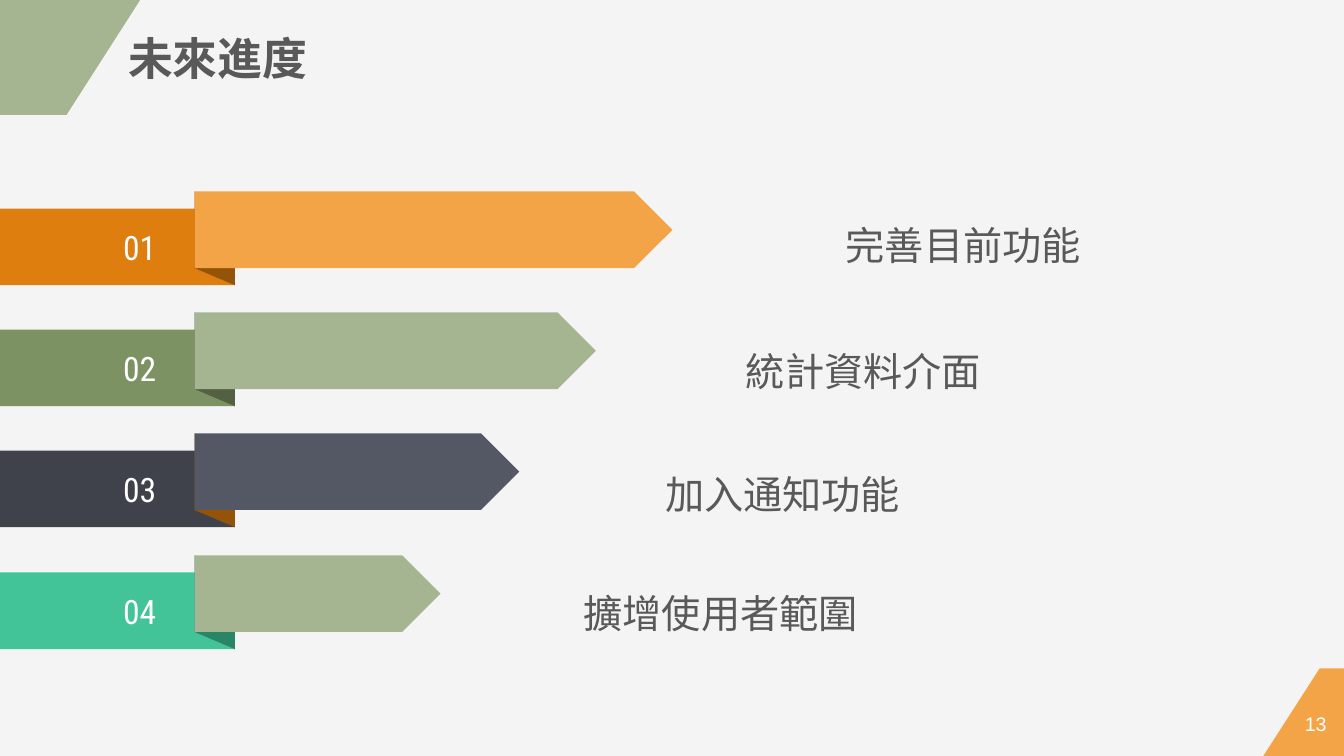
from dataclasses import dataclass

from lxml.etree import SubElement
from pptx import Presentation
from pptx.dml.color import RGBColor
from pptx.enum.shapes import MSO_SHAPE
from pptx.enum.text import MSO_ANCHOR, MSO_AUTO_SIZE, PP_ALIGN
from pptx.oxml.ns import qn
from pptx.shapes.autoshape import Shape
from pptx.slide import Slide
from pptx.util import Emu, Pt

PX = 9144
WIDE, HIGH = 1333, 750
BAR = 76
FOLD_X, BAND_W = 193, 233
DROP = 17

PAPER = RGBColor(0xF4, 0xF4, 0xF4)
WHITE = RGBColor(0xFF, 0xFF, 0xFF)
GRAY = RGBColor(0x59, 0x59, 0x59)
ORANGE = RGBColor(0xF3, 0xA4, 0x47)
AMBER = RGBColor(0xDD, 0x7E, 0x0E)
BROWN = RGBColor(0x93, 0x54, 0x0A)
SAGE = RGBColor(0xA5, 0xB5, 0x92)
OLIVE = RGBColor(0x7D, 0x92, 0x63)
MOSS = RGBColor(0x53, 0x61, 0x42)
SLATE = RGBColor(0x54, 0x58, 0x64)
COAL = RGBColor(0x3F, 0x42, 0x4B)
MINT = RGBColor(0x42, 0xC3, 0x98)
PINE = RGBColor(0x2A, 0x84, 0x66)

SANS = "Noto Sans CJK SC"
ROBOTO = "Roboto Condensed"


@dataclass(frozen=True)
class Box:
    left: int
    top: int
    width: int
    height: int

    def emu(self) -> tuple[Emu, ...]:
        return tuple(Emu(n * PX) for n in (self.left, self.top, self.width, self.height))


@dataclass(frozen=True)
class Step:
    label: str
    font: str
    left: int
    top: int
    length: int
    band: RGBColor
    fold: RGBColor
    arrow: RGBColor


STEPS = [
    Step("完善目前功能", SANS, 829, 208, 474, AMBER, BROWN, ORANGE),
    Step("統計資料介面", "Arial", 730, 333, 398, OLIVE, MOSS, SAGE),
    Step("加入通知功能", SANS, 650, 455, 322, COAL, BROWN, SLATE),
    Step("擴增使用者範圍", SANS, 569, 573, 244, MINT, PINE, SAGE),
]


def paint(shape: Shape, color: RGBColor) -> None:
    shape.shadow.inherit = False
    shape.fill.solid()
    shape.fill.fore_color.rgb = color
    shape.line.fill.background()


def block(slide: Slide, kind: MSO_SHAPE, box: Box, color: RGBColor) -> None:
    paint(slide.shapes.add_shape(kind, *box.emu()), color)


def outline(slide: Slide, dots: list[tuple[int, int]], color: RGBColor) -> None:
    pen = slide.shapes.build_freeform(*dots[0], scale=PX)
    pen.add_line_segments(dots[1:], close=True)
    paint(pen.convert_to_shape(), color)


def write(shape: Shape, text: str, *, size: int, font: str = "Arial",
          color: RGBColor = GRAY, bold: bool = False, wrap: bool = True,
          align: PP_ALIGN = PP_ALIGN.LEFT, anchor: MSO_ANCHOR = MSO_ANCHOR.TOP,
          inset: tuple[int, int] = (10, 5), spacing: float = 1.0) -> None:
    frame = shape.text_frame
    frame.word_wrap = wrap
    frame.auto_size = MSO_AUTO_SIZE.NONE
    frame.vertical_anchor = anchor
    frame.margin_left = frame.margin_right = Emu(inset[0] * PX)
    frame.margin_top = frame.margin_bottom = Emu(inset[1] * PX)
    line = frame.paragraphs[0]
    line.alignment = align
    line.line_spacing = spacing
    run = line.add_run()
    run.text = text
    run.font.size = Pt(size)
    run.font.bold = bold
    run.font.color.rgb = color
    run.font.name = font
    SubElement(run.font._element, qn("a:ea")).set("typeface", font)


def place(slide: Slide, box: Box) -> Shape:
    return slide.shapes.add_textbox(*box.emu())


def frame(slide: Slide) -> None:
    slide.background.fill.solid()
    slide.background.fill.fore_color.rgb = PAPER
    outline(slide, [(1309, 663), (WIDE, 663), (WIDE, HIGH), (1253, HIGH)], ORANGE)
    write(place(slide, Box(1281, 702, 48, 31)), "13", size=14, color=WHITE,
          align=PP_ALIGN.CENTER, inset=(7, 4))
    outline(slide, [(0, 0), (139, 0), (66, 114), (0, 114)], SAGE)
    title = slide.shapes.title
    title.left, title.top, title.width, title.height = Box(117, 25, 200, 64).emu()
    write(title, "未來進度", size=32, bold=True, wrap=False)


def ribbon(slide: Slide, index: int, step: Step) -> None:
    top = 190 + index * 361 // 3
    low = top + DROP
    block(slide, MSO_SHAPE.RECTANGLE, Box(0, low, BAND_W, BAR), step.band)
    write(place(slide, Box(84, low + 18, 109, 40)), f"{index + 1:02}",
          size=24, font=ROBOTO, color=WHITE, align=PP_ALIGN.CENTER,
          anchor=MSO_ANCHOR.MIDDLE, inset=(0, 0))
    outline(slide, [(FOLD_X, top), (BAND_W, low), (BAND_W, low + BAR),
                    (FOLD_X, top + BAR)], step.fold)
    block(slide, MSO_SHAPE.PENTAGON, Box(FOLD_X, top, step.length, BAR), step.arrow)
    write(place(slide, Box(step.left, step.top, 443, 64)), step.label,
          size=28, font=step.font, spacing=1.14)


def main() -> None:
    deck = Presentation()
    deck.slide_width, deck.slide_height = Emu(WIDE * PX), Emu(HIGH * PX)
    slide = deck.slides.add_slide(deck.slide_layouts[5])
    frame(slide)
    for index, step in enumerate(STEPS):
        ribbon(slide, index, step)
    deck.save("out.pptx")


if __name__ == "__main__":
    main()
